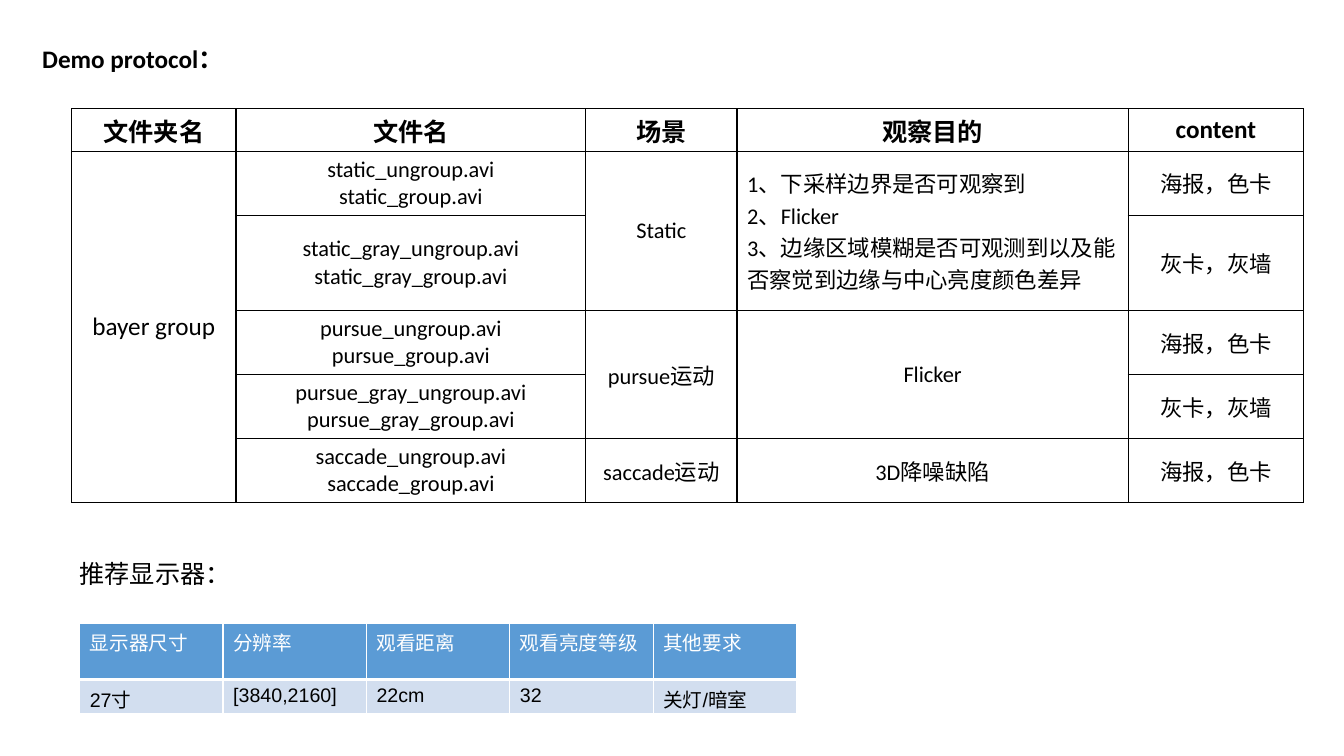
"""Slide with the demo protocol table and the recommended display table."""
from lxml import etree
from pptx import Presentation, util as u
from pptx.dml.color import RGBColor
from pptx.enum import text
from pptx.oxml.ns import qn

WIDTH, HEIGHT = u.Inches(13.33), u.Inches(7.5)
POSTER, GRAY = "海报，色卡", "灰卡，灰墙"
PURPOSE = "1、下采样边界是否可观察到\n2、Flicker\n3、边缘区域模糊是否可观测到以及能否察觉到边缘与中心亮度颜色差异"
PROTOCOL = [
    ["文件夹名", "文件名", "场景", "观察目的", "content"],
    ["bayer group", "static", "Static", PURPOSE, POSTER],
    ["", "static_gray", "", "", GRAY],
    ["", "pursue", "pursue运动", "Flicker", POSTER],
    ["", "pursue_gray", "", "", GRAY],
    ["", "saccade", "saccade运动", "3D降噪缺陷", POSTER],
]
MERGES = [(1, 5, 0), (1, 2, 2), (1, 2, 3), (3, 4, 2), (3, 4, 3)]
DISPLAY = [
    ["显示器尺寸", "分辨率", "观看距离", "观看亮度等级", "其他要求"],
    ["27寸", "[3840,2160]", "22cm", "32", "关灯/暗室"],
]


def color(value):
    """Turn a hex string into a colour."""
    return RGBColor.from_string(value)


def across(percent):
    """Length as a percentage of the slide width."""
    return round(WIDTH * percent / 100)


def down(percent):
    """Length as a percentage of the slide height."""
    return round(HEIGHT * percent / 100)


def write(text_frame, content, size, font="Calibri", ink="000000", bold=False, align=text.PP_ALIGN.LEFT):
    """Fill a text frame and format all its runs."""
    text_frame.text = content
    for paragraph in text_frame.paragraphs:
        paragraph.alignment = align
        for run in paragraph.runs:
            run.font.name, run.font.size, run.font.bold = font, u.Pt(size), bold
            run.font.color.rgb = color(ink)


def add_label(slide, left, top, width, height, content, bold=False):
    """Add a heading placed by percentages of the slide."""
    box = slide.shapes.add_textbox(across(left), down(top), across(width), down(height))
    box.text_frame.word_wrap = True
    write(box.text_frame, content, 18, bold=bold)


def set_borders(cell, ink, top=1, bottom=1):
    """Draw the four borders of a cell."""
    properties = cell._tc.get_or_add_tcPr()
    for side, points in (("L", 1), ("R", 1), ("T", top), ("B", bottom)):
        line = etree.SubElement(properties, qn(f"a:ln{side}"), w=str(u.Pt(points)))
        fill = etree.SubElement(line, qn("a:solidFill"))
        etree.SubElement(fill, qn("a:srgbClr"), val=ink)


def add_grid(slide, left, top, columns, rows):
    """Add an unbanded table with the given column and row percentages."""
    table = slide.shapes.add_table(len(rows), len(columns), across(left), down(top),
                                   across(sum(columns)), down(sum(rows))).table
    table.first_row = table.horz_banding = False
    for column, share in zip(table.columns, columns):
        column.width = across(share)
    for row, share in zip(table.rows, rows):
        row.height = down(share)
    return table


def add_protocol(slide):
    """Add the table of files, scenes and purposes."""
    table = add_grid(slide, 5.33, 14.4, [12.23, 26.03, 11.25, 29.11, 13.05],
                     [5.6, 8.47, 12.6, 8.47, 8.47, 8.47])
    for first, last, column in MERGES:
        table.cell(first, column).merge(table.cell(last, column))
    for r, values in enumerate(PROTOCOL):
        for c, value in enumerate(values):
            cell = table.cell(r, c)
            set_borders(cell, "000000")
            cell.fill.background()
            cell.vertical_anchor = text.MSO_ANCHOR.MIDDLE
            cell.margin_top = cell.margin_bottom = u.Inches(0.03)
            if r and c == 1:
                value = f"{value}_ungroup.avi\n{value}_group.avi"
            align = text.PP_ALIGN.LEFT if value == PURPOSE else text.PP_ALIGN.CENTER
            if value:
                write(cell.text_frame, value, 18 if r == 0 or c == 0 else 16, bold=r == 0, align=align)


def add_display(slide):
    """Add the table of recommended display settings."""
    table = add_grid(slide, 5.93, 82.4, [10.67] * 5, [7.5, 4.55])
    styles = [("5B9BD5", "FFFFFF", 1, 3), ("D2DEEF", "000000", 3, 1)]
    for r, (back, ink, top, bottom) in enumerate(styles):
        for c, value in enumerate(DISPLAY[r]):
            cell = table.cell(r, c)
            set_borders(cell, "FFFFFF", top, bottom)
            cell.fill.solid()
            cell.fill.fore_color.rgb = color(back)
            write(cell.text_frame, value, 14, "Arial", ink)


def main():
    """Build and save the slide."""
    presentation = Presentation()
    presentation.slide_width, presentation.slide_height = WIDTH, HEIGHT
    slide = presentation.slides.add_slide(presentation.slide_layouts[6])
    add_label(slide, 2.4, 5.07, 25.43, 5.33, "Demo protocol：", bold=True)
    add_protocol(slide)
    add_label(slide, 5.18, 73.2, 13.5, 5.2, "推荐显示器：")
    add_display(slide)
    presentation.save("out.pptx")


if __name__ == "__main__":
    main()
